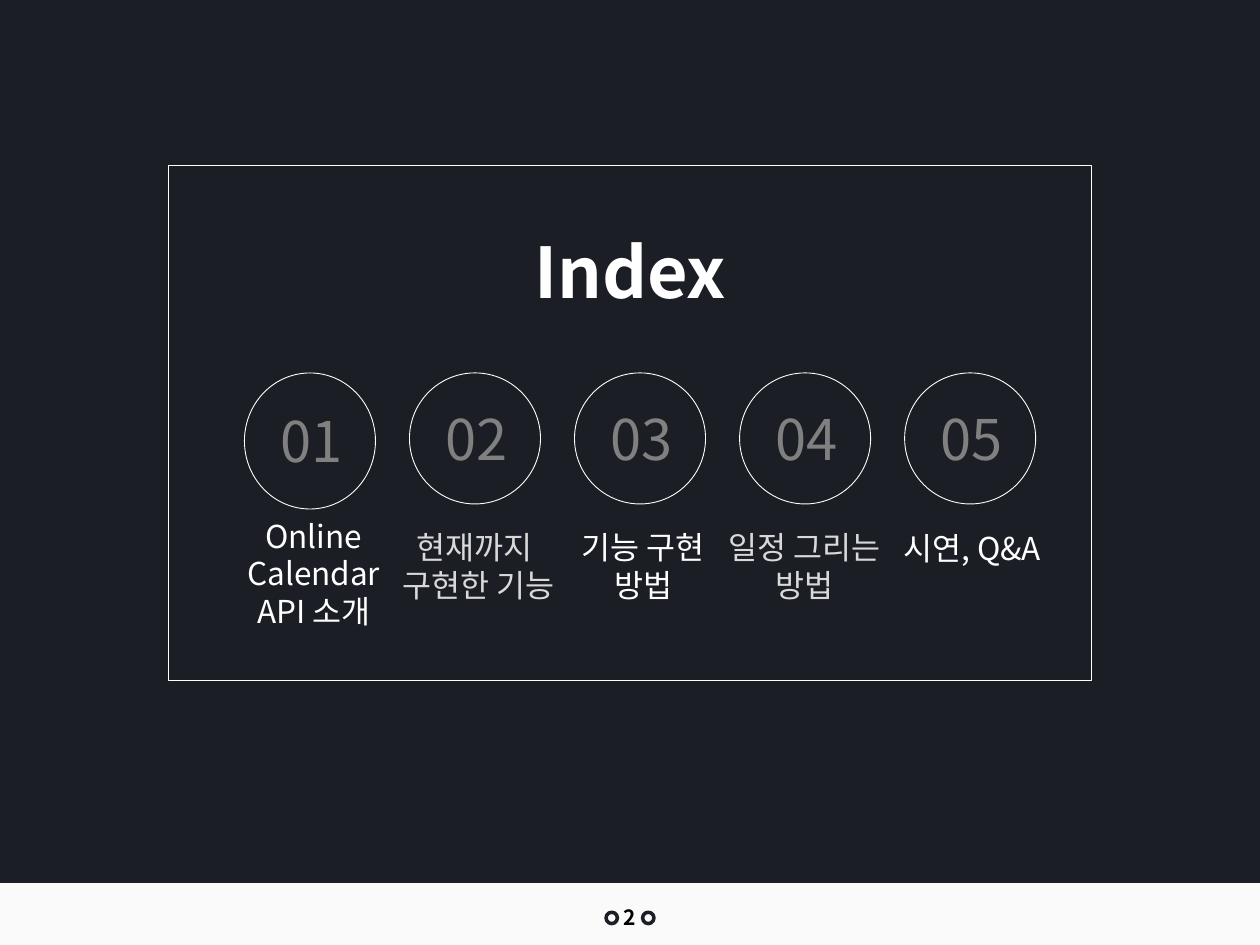
from pptx import Presentation
from pptx import util as u
from pptx.dml.color import RGBColor
from pptx.enum import shapes, text
from pptx.oxml import ns
from lxml import etree

FONT = "Noto Sans CJK KR"
NAVY = RGBColor(0x1B, 0x1E, 0x25)
PAPER = RGBColor(0xFA, 0xFA, 0xFA)
WHITE = RGBColor(0xFF, 0xFF, 0xFF)
LIGHT = RGBColor(0xD9, 0xD9, 0xD9)
GRAY = RGBColor(0x80, 0x80, 0x80)
BLACK = RGBColor(0, 0, 0)
RECT = shapes.MSO_SHAPE.RECTANGLE
OVAL = shapes.MSO_SHAPE.OVAL

# Column circles
FIRST_LEFT, STEP, TOP, DIAMETER = 1.94, 1.31, 2.96, 1.04

# Label, left, top, width, height, colour
LABELS = [
    ("Online Calendar API 소개", 1.74, 4.05, 1.5, 1.01, WHITE),
    ("현재까지 \n구현한 기능", 3.02, 4.14, 1.55, 0.71, LIGHT),
    ("기능 구현 방법", 4.39, 4.14, 1.43, 0.71, WHITE),
    ("일정 그리는 방법", 5.61, 4.14, 1.55, 0.71, LIGHT),
    ("시연, Q&A", 6.94, 4.15, 1.55, 0.4, WHITE),
]


def inches(*values):
    return [u.Inches(v) for v in values]


def add_shape(parent, kind, box, fill=None, line=None, weight=0.5):
    sp = parent.shapes.add_shape(kind, *inches(*box))
    sp.shadow.inherit = False
    if fill is None:
        sp.fill.background()
    else:
        sp.fill.solid()
        sp.fill.fore_color.rgb = fill
    if line is None:
        sp.line.fill.background()
    else:
        sp.line.color.rgb = line
        sp.line.width = u.Pt(weight)
    return sp


def write(tf, content, size, color, bold=False, align=text.PP_ALIGN.CENTER, wrap=True):
    tf.word_wrap = wrap
    tf.vertical_anchor = text.MSO_ANCHOR.TOP
    for i, line in enumerate(content.split("\n")):
        p = tf.paragraphs[0] if i == 0 else tf.add_paragraph()
        p.alignment = align
        r = p.add_run()
        r.text = line
        r.font.size = u.Pt(size)
        r.font.bold = bold
        r.font.name = FONT
        r.font.color.rgb = color
        # Korean glyphs take the East Asian font
        ea = etree.SubElement(r.font._element, ns.qn("a:ea"))
        ea.set("typeface", FONT)


def add_text(parent, content, box, size, color, **fmt):
    sp = parent.shapes.add_textbox(*inches(*box))
    write(sp.text_frame, content, size, color, **fmt)
    sp.text_frame.auto_size = text.MSO_AUTO_SIZE.SHAPE_TO_FIT_TEXT
    return sp


def add_title(s, content, box):
    sp = s.shapes.title
    s.shapes.element.append(sp.element)  # in front of the background
    sp.left, sp.top, sp.width, sp.height = inches(*box)
    tf = sp.text_frame
    tf.margin_left = tf.margin_top = tf.margin_right = tf.margin_bottom = 0
    write(tf, content, 40, WHITE, bold=True)
    tf.auto_size = text.MSO_AUTO_SIZE.NONE


def add_number(s, index):
    left = FIRST_LEFT + STEP * index
    height = 1.08 if index == 0 else DIAMETER
    grp = s.shapes.add_group_shape()
    add_shape(grp, OVAL, (left, TOP, DIAMETER, height), line=WHITE)
    add_text(grp, f"{index + 1:02d}", (left - 0.11, TOP + height / 2 - 0.32, 1.28, 0.64),
             32, GRAY)


def add_page_mark(s, number):
    grp = s.shapes.add_group_shape()
    for left in (4.81, 5.1):
        add_shape(grp, OVAL, (left, 7.24, 0.09, 0.09), line=NAVY, weight=2)
    add_text(s, number, (4.85, 7.13, 0.3, 0.3), 12, BLACK, bold=True,
             align=text.PP_ALIGN.LEFT, wrap=False)


def main():
    prs = Presentation()
    prs.slide_width, prs.slide_height = inches(10, 7.5)
    s = prs.slides.add_slide(prs.slide_layouts[5])

    # Background, footer band and frame
    add_shape(s, RECT, (0, 0, 10, 7.5), fill=NAVY)
    add_shape(s, RECT, (0, 7.01, 10, 0.49), fill=PAPER)
    add_shape(s, RECT, (1.34, 1.31, 7.32, 4.09), line=WHITE)

    add_title(s, "Index", (1.91, 1.81, 6.18, 0.9))

    # Numbered topics
    for i, (label, left, top, width, height, color) in enumerate(LABELS):
        add_number(s, i)
        add_text(s, label, (left, top, width, height), 18, color)

    add_page_mark(s, "2")
    prs.save("out.pptx")


if __name__ == "__main__":
    main()
